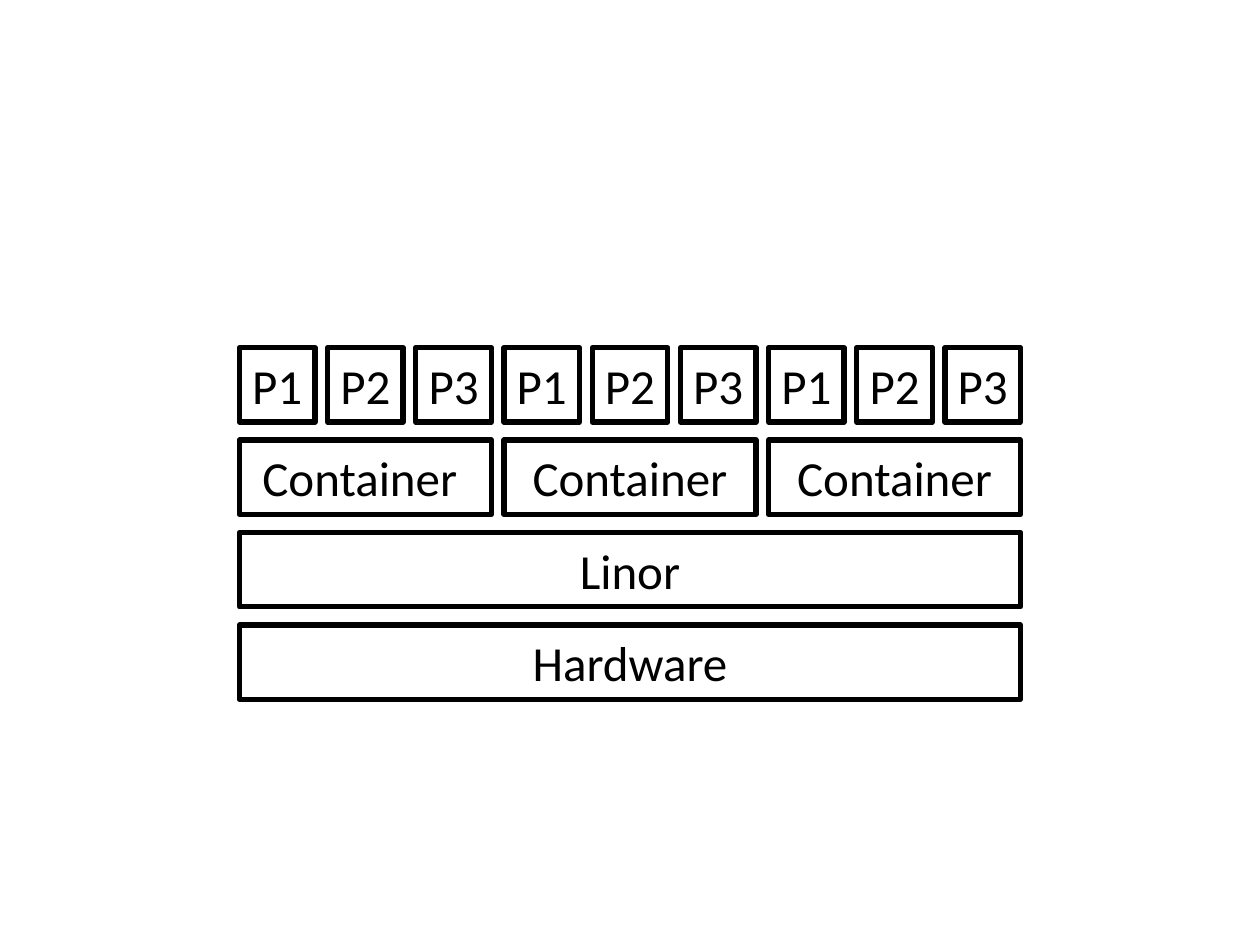
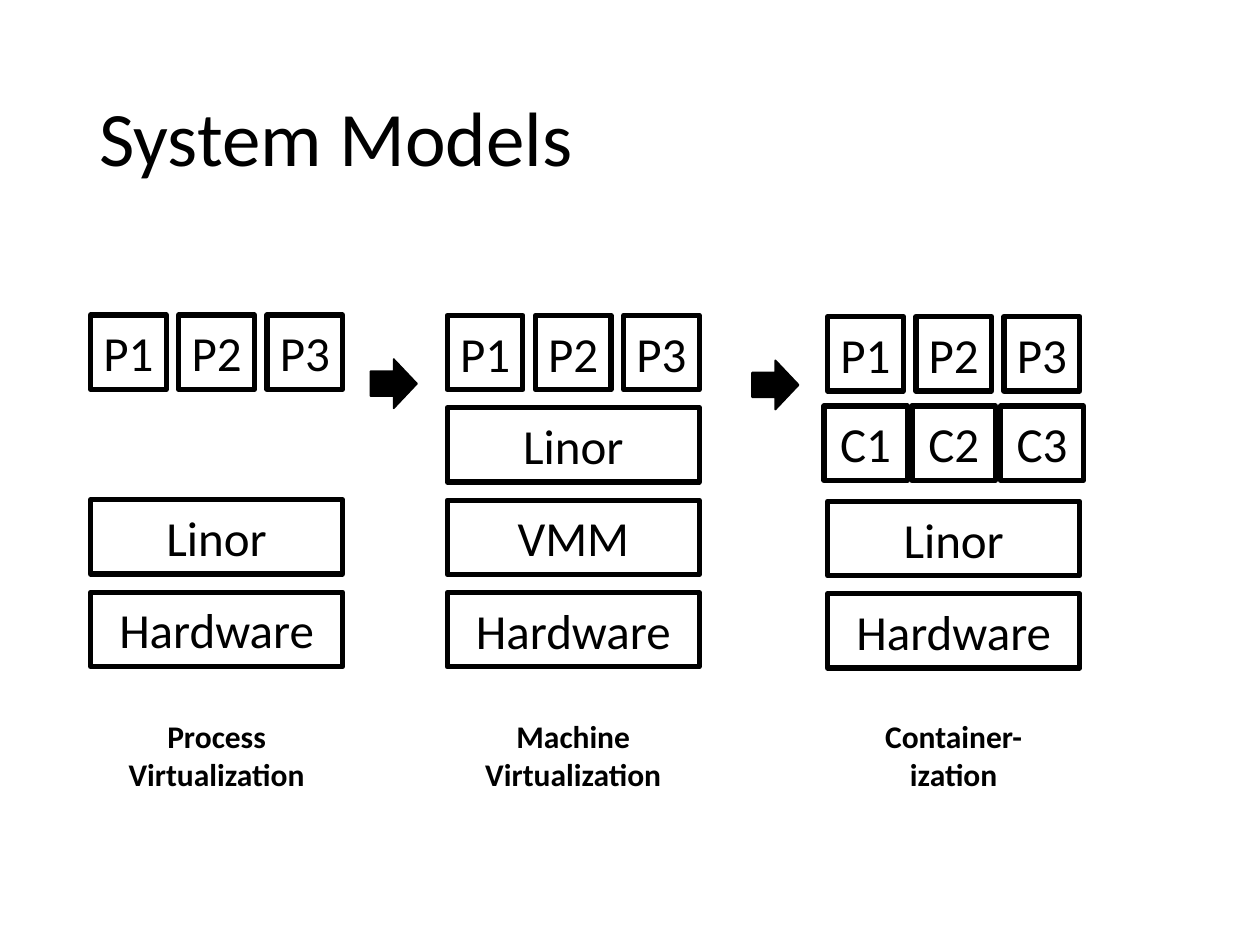
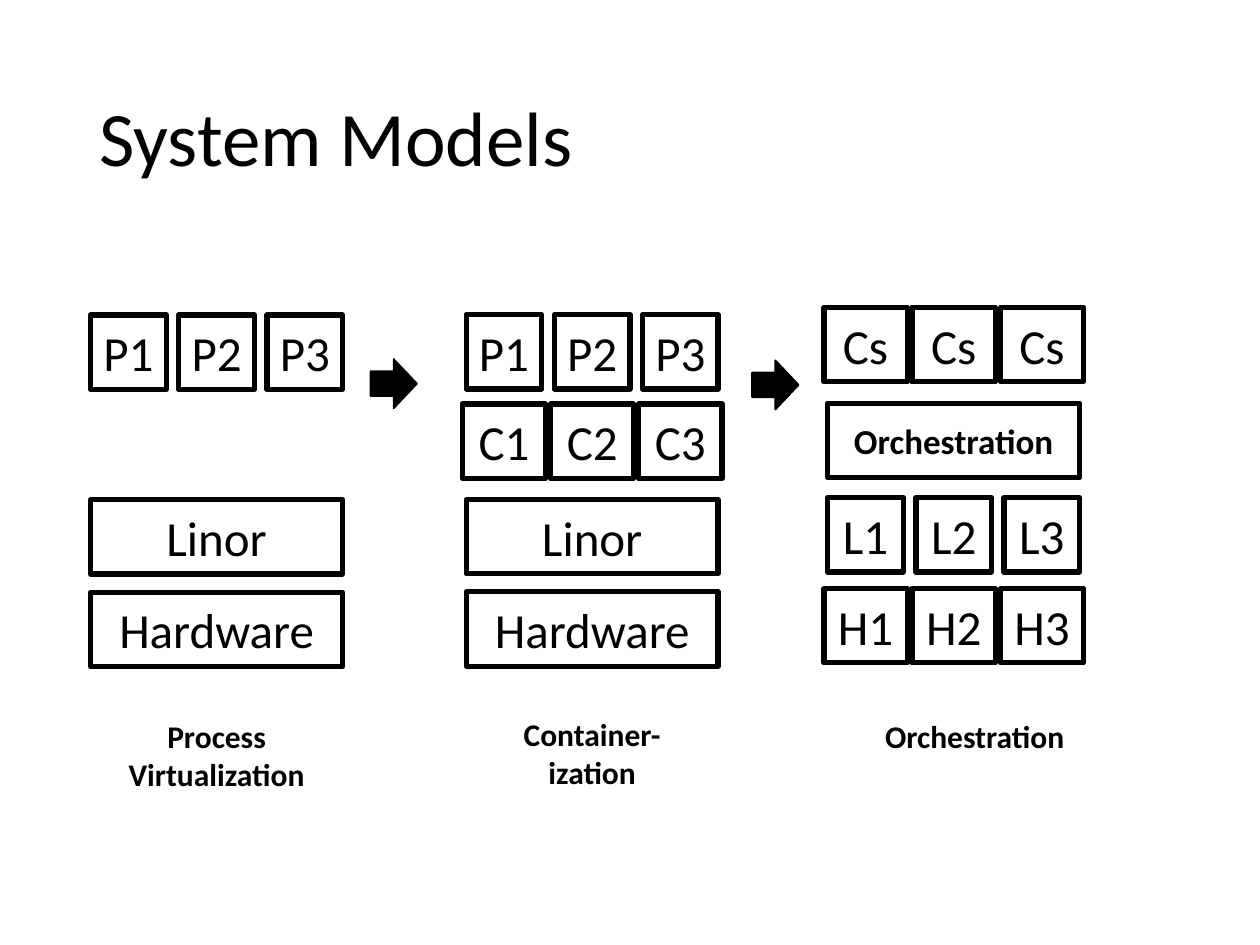
from collections import namedtuple
from dataclasses import dataclass

from pptx import Presentation
from pptx import util as u
from pptx.dml import color
from pptx.enum import shapes, text


@dataclass(frozen=True)
class Theme:
    ink: color.RGBColor = color.RGBColor(0, 0, 0)
    font: str = "Calibri"
    title_size: float = 44
    block_size: float = 28
    small_block_size: float = 20
    caption_size: float = 18
    block_line: float = 3
    arrow_line: float = 1


THEME = Theme()
Box = namedtuple("Box", "left top width height")
Row = namedtuple("Row", "offset labels bleed small", defaults=(0, False))
Caption = namedtuple("Caption", "lines width top shift", defaults=(406.1, 0))
Column = namedtuple("Column", "left top rows caption")

BLOCK_HEIGHT = 42.5
BLOCK_GAP = 7.2
ROW_PITCH = 52.8
COLUMN_WIDTH = 144
WIDE_BLEED = 2.2
TITLE_BOX = Box(49.7, 28.8, 620.6, 104.4)
STACK_BOX = Box(136.8, 198.7, 446.4, 4 * ROW_PITCH)
ARROW_BOXES = [Box(211.7, 205.2, 26.6, 28.1), Box(429.8, 205.9, 26.6, 28.1)]

PROCESSES = ["P1", "P2", "P3"]
CONTAINERS = ["C1", "C2", "C3"]
SYSTEM = "Linor"


def points(box):
    return [u.Pt(round(length, 2)) for length in box]


def set_attributes(target, values):
    for name, value in values.items():
        setattr(target, name, value)


def write(shape, lines, size, bold=False, frame_format=None, paragraph_format=None):
    frame = shape.text_frame
    set_attributes(frame, frame_format or {})
    for index, line in enumerate(lines):
        paragraph = frame.add_paragraph() if index else frame.paragraphs[0]
        set_attributes(paragraph, paragraph_format or {})
        run = paragraph.add_run()
        run.text = line
        set_attributes(run.font, {"name": THEME.font, "size": u.Pt(size), "bold": bold})
        run.font.color.rgb = THEME.ink


def add_outlined(canvas, kind, box, line_width):
    shape = canvas.add_shape(kind, *points(box))
    shape.shadow.inherit = False
    shape.line.color.rgb = THEME.ink
    shape.line.width = u.Pt(line_width)
    return shape


def add_block(canvas, box, label, small):
    block = add_outlined(canvas, shapes.MSO_SHAPE.RECTANGLE, box, THEME.block_line)
    block.fill.background()
    write(
        block,
        [label],
        THEME.small_block_size if small else THEME.block_size,
        bold=small,
        frame_format={
            "word_wrap": True,
            "vertical_anchor": text.MSO_ANCHOR.MIDDLE,
            "margin_left": u.Pt(3.6),
            "margin_right": u.Pt(3.6),
        },
        paragraph_format={"alignment": text.PP_ALIGN.CENTER},
    )


def add_row(canvas, box, row):
    count = len(row.labels)
    width = (box.width - BLOCK_GAP * (count - 1)) / count
    for index, label in enumerate(row.labels):
        left = box.left + index * (width + BLOCK_GAP) - row.bleed
        block_box = Box(left, box.top + row.offset, width + 2 * row.bleed, BLOCK_HEIGHT)
        add_block(canvas, block_box, label, row.small)


def add_title(canvas, box, title):
    write(
        canvas.add_textbox(*points(box)),
        [title],
        THEME.title_size,
        frame_format={"word_wrap": True, "vertical_anchor": text.MSO_ANCHOR.MIDDLE},
        paragraph_format={"line_spacing": 0.9},
    )


def add_caption(canvas, box, caption):
    left = box.left + (box.width - caption.width) / 2 + caption.shift
    height = 22 * len(caption.lines) + 7.2
    write(
        canvas.add_textbox(*points(Box(left, caption.top, caption.width, height))),
        caption.lines,
        THEME.caption_size,
        bold=True,
        frame_format={"word_wrap": False},
        paragraph_format={"alignment": text.PP_ALIGN.CENTER},
    )


def add_arrow(canvas, box):
    arrow = add_outlined(canvas, shapes.MSO_SHAPE.RIGHT_ARROW, box, THEME.arrow_line)
    arrow.fill.solid()
    arrow.fill.fore_color.rgb = THEME.ink


def add_column(canvas, column):
    box = Box(column.left, column.top, COLUMN_WIDTH, 4 * ROW_PITCH)
    for row in column.rows:
        add_row(canvas, box, row)
    add_caption(canvas, box, column.caption)


def add_blank_slide(presentation):
    return presentation.slides.add_slide(presentation.slide_layouts[6])


def build_stack_slide(presentation, box):
    canvas = add_blank_slide(presentation).shapes.add_group_shape().shapes
    layers = [
        PROCESSES * 3,
        ["Container ", "Container", "Container"],
        [SYSTEM],
        ["Hardware"],
    ]
    for level, labels in enumerate(layers):
        add_row(canvas, box, Row(level * ROW_PITCH, labels))


def build_models_slide(presentation, columns):
    canvas = add_blank_slide(presentation).shapes
    add_title(canvas, TITLE_BOX, "System Models")
    for column in columns:
        add_column(canvas, column)
    for box in ARROW_BOXES:
        add_arrow(canvas, box)


def main():
    presentation = Presentation()
    presentation.slide_width, presentation.slide_height = u.Pt(720), u.Pt(540)

    process_row = Row(0, PROCESSES)
    base_rows = [Row(2 * ROW_PITCH, [SYSTEM]), Row(3 * ROW_PITCH, ["Hardware"])]
    container_rows = [process_row, Row(51.1, CONTAINERS, WIDE_BLEED), *base_rows]
    machine_rows = [
        process_row,
        Row(ROW_PITCH, [SYSTEM]),
        Row(2 * ROW_PITCH, ["VMM"]),
        Row(3 * ROW_PITCH, ["Hardware"]),
    ]
    orchestration_rows = [
        Row(0, ["Cs"] * 3, WIDE_BLEED),
        Row(54.7, ["Orchestration"], small=True),
        Row(108.7, ["L1", "L2", "L3"]),
        Row(160.6, ["H1", "H2", "H3"], WIDE_BLEED),
    ]
    process_column = Column(
        51.8, 180, [process_row, *base_rows], Caption(["Process", "Virtualization"], 116)
    )
    machine_column = Column(
        255.6, 180.2, machine_rows, Caption(["Machine", "Virtualization"], 116)
    )
    container_caption = Caption(["Container-", "ization"], 93.6)

    build_stack_slide(presentation, STACK_BOX)
    build_models_slide(
        presentation,
        [
            process_column,
            machine_column,
            Column(473, 180.9, container_rows, container_caption),
        ],
    )
    build_models_slide(
        presentation,
        [
            process_column,
            Column(266.4, 179.8, container_rows, container_caption._replace(top=405.2)),
            Column(
                473,
                175.7,
                orchestration_rows,
                Caption(["Orchestration"], 117.4, shift=12),
            ),
        ],
    )
    presentation.save("out.pptx")


if __name__ == "__main__":
    main()
